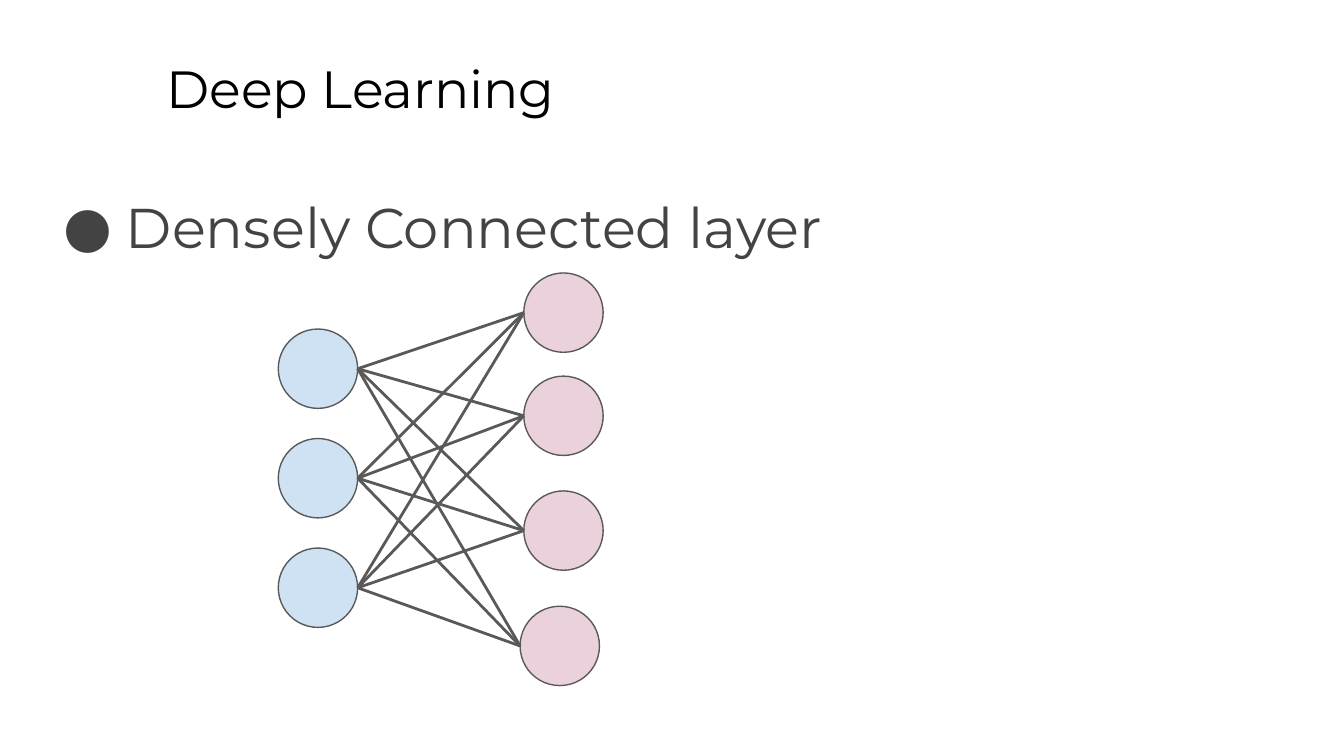
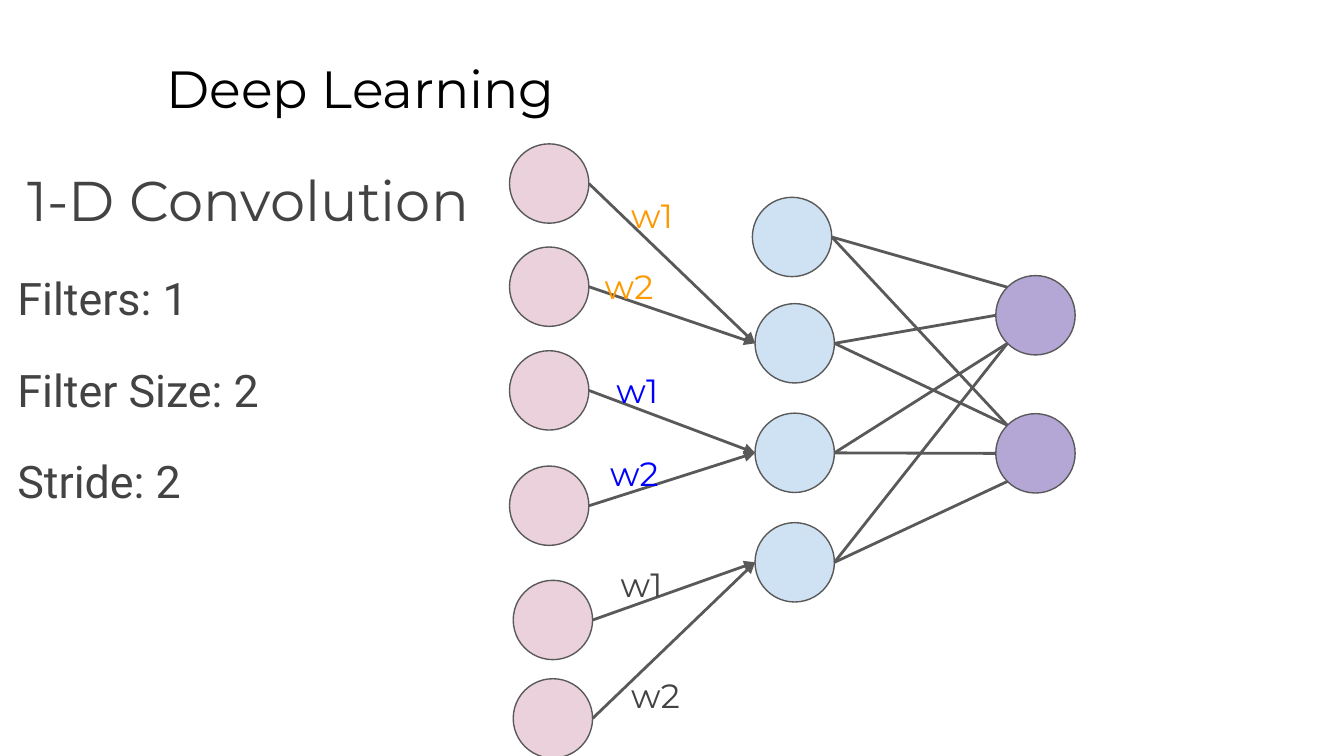
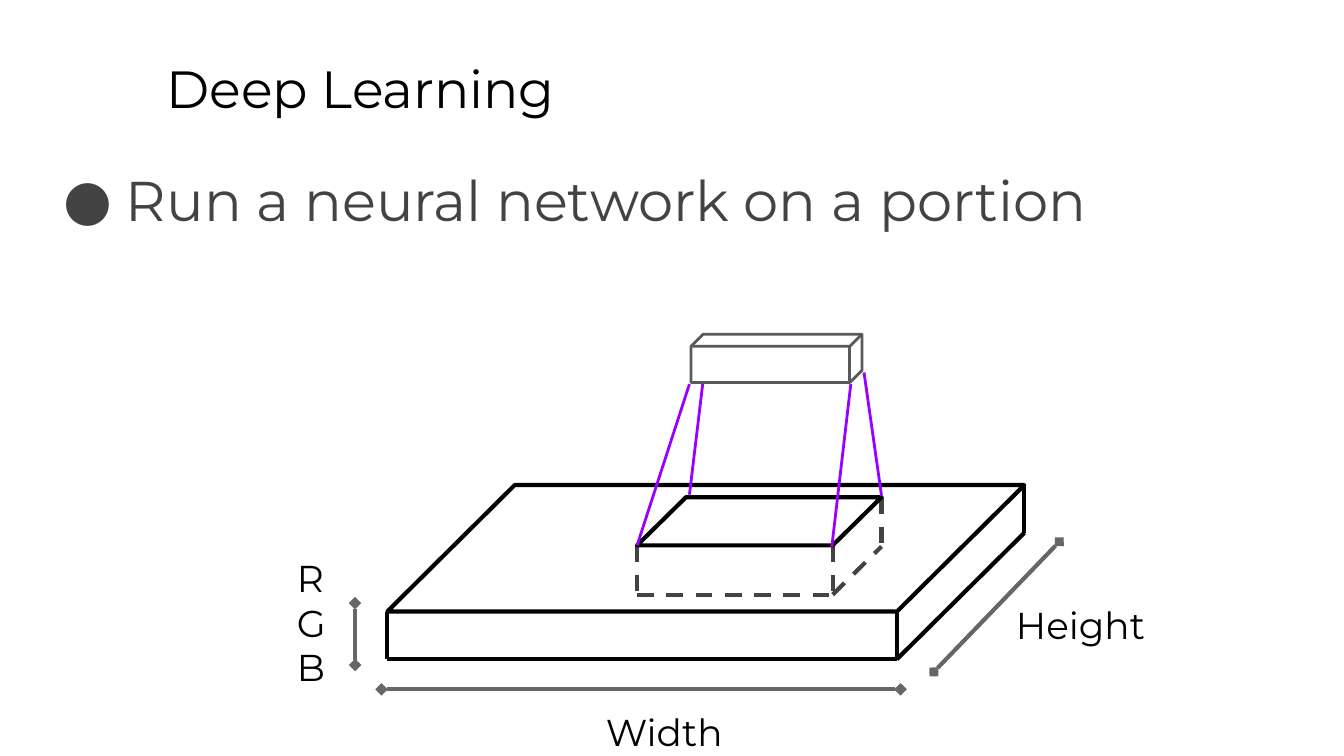
from itertools import product
from math import sqrt

from lxml import etree
from pptx import Presentation
from pptx import util as u
from pptx.dml import color
from pptx.enum import dml, shapes, text
from pptx.oxml import ns

COLORS = {
    "black": "000000", "body": "434343", "outline": "595959", "measure": "666666",
    "blue_node": "CFE2F3", "pink_node": "EAD1DC", "violet_node": "B4A7D6",
    "orange": "FF9900", "blue": "0000FF", "purple": "9900FF",
}
FONTS = {
    "title": {"name": "Montserrat", "size": u.Pt(28)},
    "heading": {"name": "Montserrat", "size": u.Pt(30)},
    "detail": {"name": "Roboto", "size": u.Pt(24)},
    "weight": {"name": "Montserrat", "size": u.Pt(18)},
    "label": {"name": "Montserrat", "size": u.Pt(20)},
}
BODY_SPACING = {"line_spacing": 1.15}
NODE = 1.5  # node diameter
# Where a line meets a node, in radii from its centre
SITES = {
    "left": (-1, 0), "right": (1, 0),
    "top_left": (-1 / sqrt(2), -1 / sqrt(2)),
    "bottom_left": (-1 / sqrt(2), 1 / sqrt(2)),
}


# Shared helpers
def rgb(name):
    return color.RGBColor.from_string(COLORS[name])


def cms(*values):
    return [u.Cm(v) for v in values]


def apply(obj, fmt):
    for key, value in fmt.items():
        setattr(obj, key, value)


def set_frame(tf, anchor=text.MSO_ANCHOR.TOP):
    apply(tf, {"word_wrap": True, "auto_size": text.MSO_AUTO_SIZE.NONE,
               "vertical_anchor": anchor})
    for side in ("left", "right", "top", "bottom"):
        setattr(tf, f"margin_{side}", u.Cm(0.25))


def fill_paragraph(p, words, font, ink, fmt):
    r = p.add_run()
    r.text = words
    apply(r.font, FONTS[font])
    r.font.color.rgb = rgb(ink)
    apply(p, fmt)


def set_bullet(p):
    pPr = p._p.get_or_add_pPr()
    pPr.set("marL", str(u.Cm(1.27)))
    pPr.set("indent", str(-u.Cm(1.17)))
    clr = etree.SubElement(pPr, ns.qn("a:buClr"))
    etree.SubElement(clr, ns.qn("a:srgbClr"), val=COLORS["body"])
    etree.SubElement(pPr, ns.qn("a:buFont"), typeface="Montserrat")
    etree.SubElement(pPr, ns.qn("a:buChar"), char="●")


# Text elements
def add_slide(prs):
    s = prs.slides.add_slide(prs.slide_layouts[5])
    sp = s.shapes.title
    apply(sp, dict(zip(("left", "top", "width", "height"), cms(2.9, 0.81, 21.64, 1.6))))
    set_frame(sp.text_frame)
    fill_paragraph(sp.text_frame.paragraphs[0], "Deep Learning", "title", "black",
                   {"alignment": text.PP_ALIGN.LEFT})
    return s


def add_text(s, box, lines, font="label", ink="black", fmt=None):
    tf = s.shapes.add_textbox(*cms(*box)).text_frame
    set_frame(tf)
    for i, words in enumerate(lines):
        p = tf.add_paragraph() if i else tf.paragraphs[0]
        fill_paragraph(p, words, font, ink, fmt or {})
    return tf


def add_bullet_line(s, top, words):
    tf = add_text(s, (0.86, top, 23.67, 1.73), [words], "heading", "body", BODY_SPACING)
    set_bullet(tf.paragraphs[0])


# Drawing elements
def add_outline(s, kind, box, ink, width, fill=None):
    sp = s.shapes.add_shape(kind, *cms(*box))
    sp.shadow.inherit = False
    if fill:
        sp.fill.solid()
        sp.fill.fore_color.rgb = rgb(fill)
    else:
        sp.fill.background()
    sp.line.color.rgb = rgb(ink)
    sp.line.width = u.Pt(width)
    return sp


def add_line(s, start, end, ink="outline", width=1.5, dash=None, head=None, tail=None):
    cxn = s.shapes.add_connector(shapes.MSO_CONNECTOR.STRAIGHT, *cms(*start, *end))
    cxn.line.color.rgb = rgb(ink)
    cxn.line.width = u.Pt(width)
    if dash:
        cxn.line.dash_style = dash
    ln = cxn.line._get_or_add_ln()
    for tag, kind in (("a:headEnd", head), ("a:tailEnd", tail)):
        if kind:
            etree.SubElement(ln, ns.qn(tag), type=kind)
    etree.SubElement(cxn._element.spPr, ns.qn("a:effectLst"))


def add_nodes(s, corners, fill):
    for x, y in corners:
        add_outline(s, shapes.MSO_SHAPE.OVAL, (x, y, NODE, NODE), "outline", 0.75, fill)


def site(corner, name):
    return [c + NODE / 2 * (1 + d) for c, d in zip(corner, SITES[name])]


def link(s, source, target, target_site="left", **fmt):
    add_line(s, site(source, "right"), site(target, target_site), **fmt)


def add_slab(s, box, depth, side_ink, dash=None):
    """Parallelogram top with the visible edges of its sides."""
    x, y, w, h = box
    rim = [(x, y + h), (x + 0.8 * w, y + h), (x + w, y)]
    base = [(px, py + depth) for px, py in rim]
    edges = list(zip(rim, base)) + list(zip(base, base[1:]))
    for start, end in edges:
        add_line(s, start, end, side_ink, 2.25, dash)
    add_outline(s, shapes.MSO_SHAPE.FLOWCHART_DATA, box, "black", 2.25)


# Slides
def dense_slide(prs):
    s = add_slide(prs)
    add_bullet_line(s, 3.2, "Densely Connected layer")
    inputs = [(5.26, 6.22 + 2.07 * i) for i in range(3)]
    outputs = [(9.9, 5.16), (9.9, 7.11), (9.9, 9.28), (9.83, 11.46)]
    add_nodes(s, inputs, "blue_node")
    add_nodes(s, outputs, "pink_node")
    for source, target in product(inputs, outputs):
        link(s, source, target)


def convolution_slide(prs):
    s = add_slide(prs)
    tf = add_text(s, (0.08, 2.69, 9.22, 10.39), ["1-D Convolution"], "heading", "body",
                  {**BODY_SPACING, "alignment": text.PP_ALIGN.CENTER})
    for words in ("Filters: 1", "Filter Size: 2", "Stride: 2"):
        fill_paragraph(tf.add_paragraph(), words, "detail", "body",
                       {**BODY_SPACING, "space_before": u.Pt(16)})

    # Three layers of nodes
    inputs = [(9.63, 2.72), (9.63, 4.67), (9.63, 6.63), (9.63, 8.81),
              (9.7, 10.97), (9.7, 12.83)]
    hidden = [(14.22, 3.73)] + [(14.27, 5.74 + 2.07 * i) for i in range(3)]
    outputs = [(18.82, 5.21), (18.82, 7.82)]
    add_nodes(s, inputs, "pink_node")
    add_nodes(s, hidden, "blue_node")
    add_nodes(s, outputs, "violet_node")

    # Each filter position reads two inputs
    for i, source in enumerate(inputs):
        link(s, source, hidden[1 + i // 2], tail="triangle")
    ends = [("top_left", "top_left"), ("left", "top_left"),
            ("bottom_left", "left"), ("bottom_left", "bottom_left")]
    for source, names in zip(hidden, ends):
        for target, name in zip(outputs, names):
            link(s, source, target, name)

    # Shared weights
    spots = [(11.68, 3.33), (11.18, 4.67), (11.4, 6.63),
             (11.28, 8.2), (11.48, 10.29), (11.68, 12.4)]
    for i, spot in enumerate(spots):
        add_text(s, (*spot, 1.7, 0.94), [f"w{i % 2 + 1}"], "weight",
                 ("orange", "blue", "body")[i // 2], BODY_SPACING)


def portion_slide(prs):
    s = add_slide(prs)
    add_bullet_line(s, 2.69, "Run a neural network on a portion")
    add_slab(s, (7.32, 9.17, 12.04, 2.39), 0.9, "black")

    # Dimensions
    for start, end in (((7.21, 13.03), (17.02, 13.03)),
                       ((17.65, 12.7), (20.02, 10.24)),
                       ((6.71, 12.57), (6.71, 11.4))):
        add_line(s, start, end, "measure", 2.25, head="diamond", tail="diamond")
    add_text(s, (5.36, 10.24, 2.36, 1), ["R", "G", "B"])
    add_text(s, (11.2, 13.16, 3, 1), ["Width"])
    add_text(s, (18.95, 11.13, 3, 1), ["Height"])

    # Selected portion and the network above it
    add_slab(s, (12.04, 9.4, 4.62, 0.91), 0.93, "body", dml.MSO_LINE.DASH)
    sp = add_outline(s, shapes.MSO_SHAPE.CUBE, (13.06, 6.32, 3.23, 0.91), "outline", 1.5)
    sp.adjustments[0] = 0.25
    for start, end in (((12.04, 10.31), (13.03, 7.26)),
                       ((13.03, 9.35), (13.28, 7.26)),
                       ((16.66, 9.37), (16.33, 7.04)),
                       ((15.72, 10.34), (16.08, 7.26))):
        add_line(s, start, end, "purple")


def main():
    prs = Presentation()
    prs.slide_width, prs.slide_height = cms(25.4, 14.29)
    dense_slide(prs)
    convolution_slide(prs)
    portion_slide(prs)
    prs.save("out.pptx")


if __name__ == "__main__":
    main()
